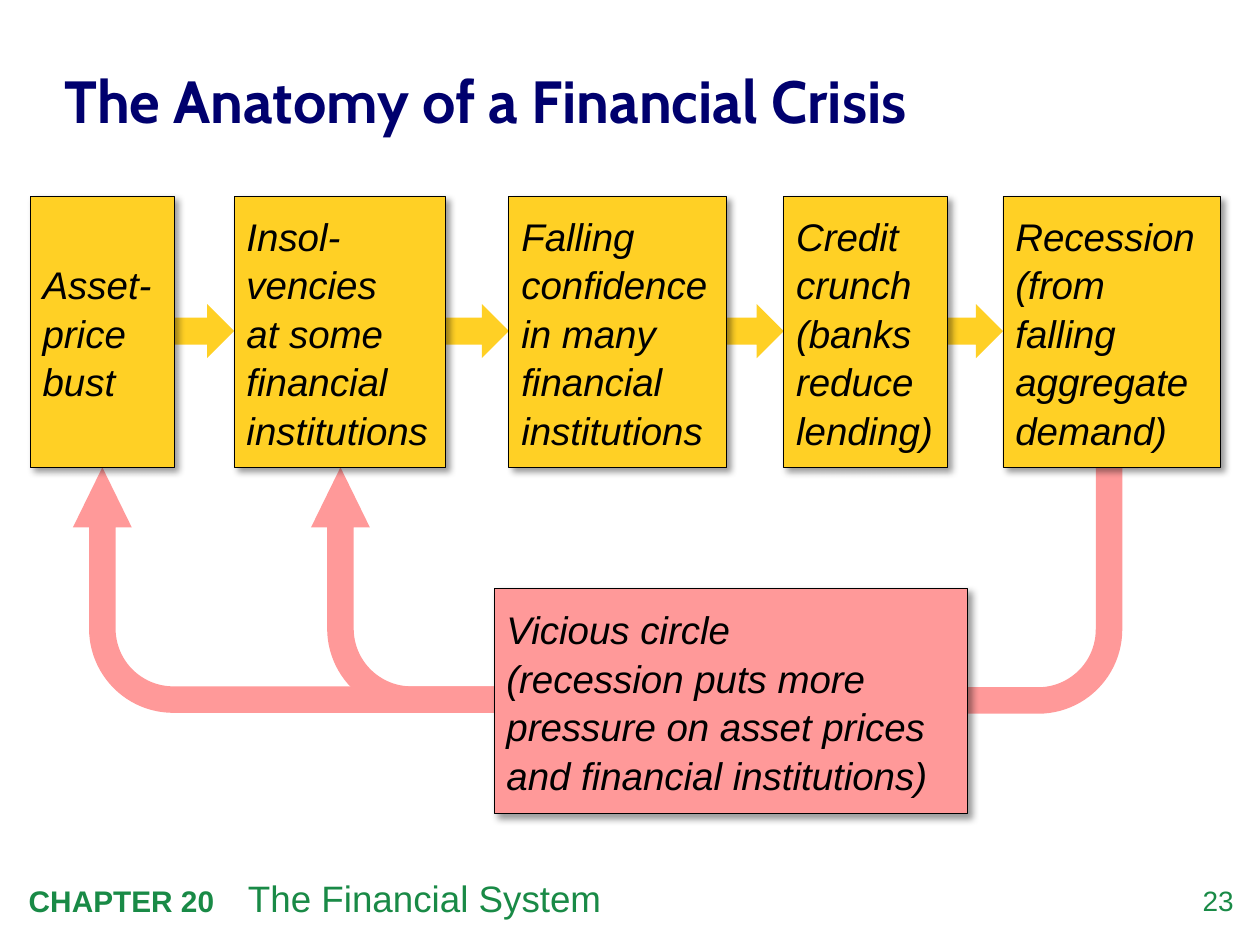
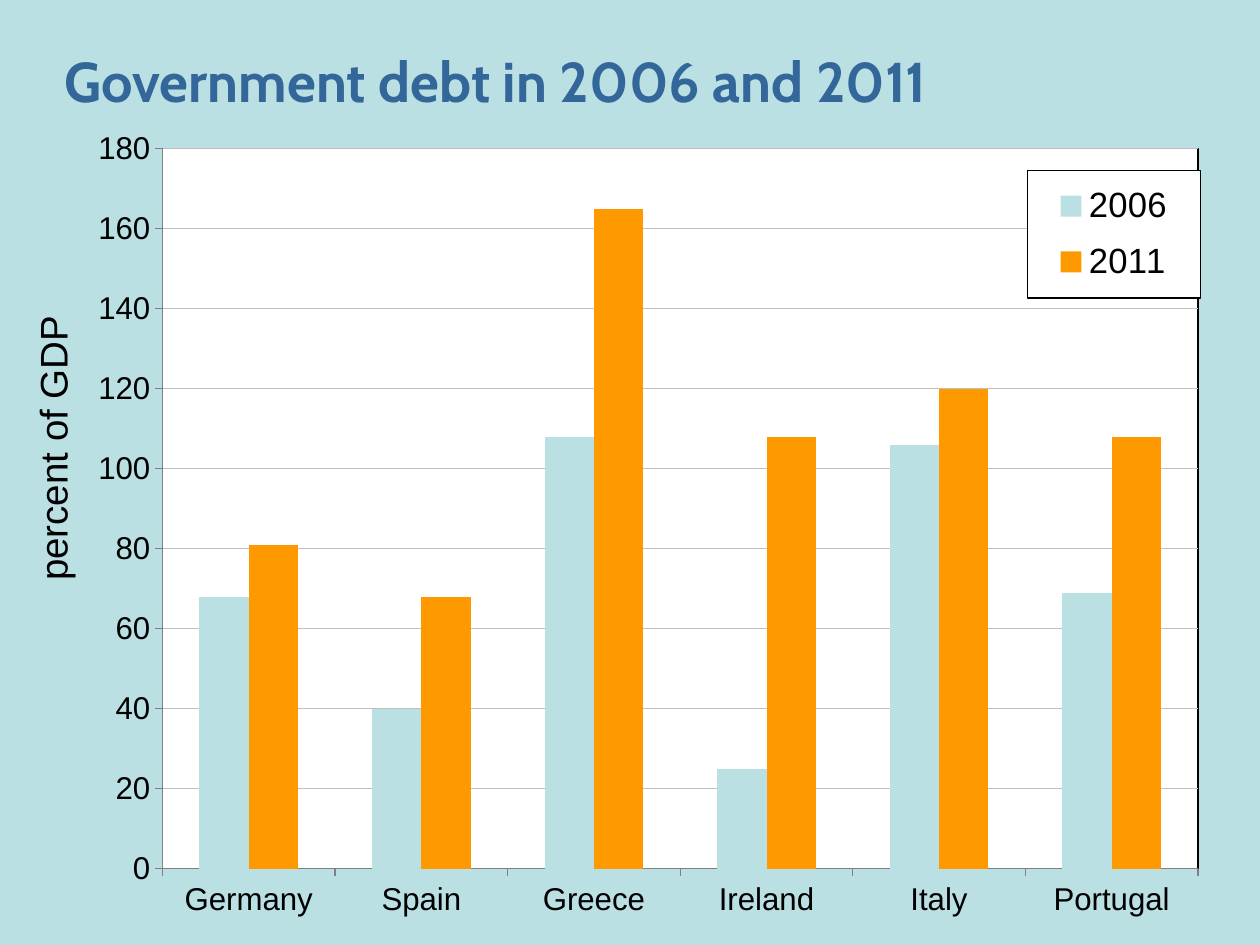
from lxml import etree
from pptx import Presentation
from pptx.chart.data import CategoryChartData
from pptx.dml.color import RGBColor
from pptx.enum import chart as charts, shapes, text
from pptx.oxml import parse_xml
from pptx.oxml.ns import nsdecls, qn
from pptx.util import Cm, Pt

GOLD, PINK, AQUA, ORANGE = "FFD025", "FF9999", "BBE0E3", "FF9900"
GREEN, NAVY, BLUE = "198A46", "00006E", "336699"
BLACK, WHITE, GRID, AXIS = "000000", "FFFFFF", "BFBFBF", "808080"


def rgb(color):
    return RGBColor.from_string(color)


def frame(*lengths):
    return [Cm(length) for length in lengths]


def manual_layout(x, y, width, height, inner=False):
    target = '<c:layoutTarget val="inner"/>' if inner else ""
    return parse_xml(
        f'<c:layout {nsdecls("c")}><c:manualLayout>{target}'
        '<c:xMode val="edge"/><c:yMode val="edge"/>'
        f'<c:x val="{x}"/><c:y val="{y}"/><c:w val="{width}"/><c:h val="{height}"/>'
        '</c:manualLayout></c:layout>')


def white_panel():
    return parse_xml(
        f'<c:spPr {nsdecls("c", "a")}><a:solidFill><a:srgbClr val="{WHITE}"/></a:solidFill>'
        f'<a:ln w="9525"><a:solidFill><a:srgbClr val="{BLACK}"/></a:solidFill></a:ln></c:spPr>')


class Deck:
    """Holds the presentation, its style and the current slide."""
    body_font, title_font = "Arial", "Cabin"
    body_size, line_spacing = 22, 1.05

    def __init__(self):
        self.presentation = Presentation()
        self.presentation.slide_width, self.presentation.slide_height = frame(25.4, 19.05)
        self.slide = None

    def style(self, font, size, color=BLACK, bold=False, italic=False, name=None):
        font.name, font.size = name or self.body_font, Pt(size)
        font.bold, font.italic = bold, italic
        font.color.rgb = rgb(color)

    def add_slide(self, title, background, top, height, size, color):
        self.slide = self.presentation.slides.add_slide(self.presentation.slide_layouts[5])
        self.slide.background.fill.solid()
        self.slide.background.fill.fore_color.rgb = rgb(background)
        shape = self.slide.shapes.title
        shape.left, shape.top, shape.width, shape.height = frame(1.3, top, 22.91, height)
        text_frame = self.no_margins(shape.text_frame)
        text_frame.auto_size = text.MSO_AUTO_SIZE.NONE
        text_frame.vertical_anchor = text.MSO_ANCHOR.MIDDLE
        paragraph = text_frame.paragraphs[0]
        paragraph.text = title
        paragraph.alignment = text.PP_ALIGN.LEFT
        paragraph.line_spacing = self.line_spacing
        self.style(paragraph.font, size, color, bold=True, name=self.title_font)

    def no_margins(self, text_frame):
        text_frame.margin_left = text_frame.margin_right = 0
        text_frame.margin_top = text_frame.margin_bottom = 0
        return text_frame

    def text_box(self, *position):
        text_frame = self.slide.shapes.add_textbox(*frame(*position)).text_frame
        text_frame.word_wrap = True
        return text_frame

    def footer(self, chapter, subject, number):
        paragraph = self.text_box(0.33, 17.53, 21.89, 1.14).paragraphs[0]
        tabs = etree.SubElement(paragraph._p.get_or_add_pPr(), qn("a:tabLst"))
        etree.SubElement(tabs, qn("a:tab"), pos=str(Cm(4.42)), algn="l")
        for words, size, bold in ((chapter + "\t", 17, True), (subject, 21, False)):
            run = paragraph.add_run()
            run.text = words
            self.style(run.font, size, GREEN, bold)
        paragraph = self.no_margins(self.text_box(23.47, 17.81, 1.4, 0.81)).paragraphs[0]
        paragraph.text = number
        paragraph.alignment = text.PP_ALIGN.RIGHT
        self.style(paragraph.font, 16, GREEN)

    def shape(self, kind, position, fill):
        shape = self.slide.shapes.add_shape(kind, *frame(*position))
        shape.shadow.inherit = False
        shape.fill.solid()
        shape.fill.fore_color.rgb = rgb(fill)
        shape.line.fill.background()
        return shape

    def card(self, words, position, fill):
        shape = self.shape(shapes.MSO_SHAPE.RECTANGLE, position, fill)
        shape.line.color.rgb = rgb(BLACK)
        shape.line.width = Pt(0.5)
        effects = shape._element.spPr.find(qn("a:effectLst"))
        effects.append(parse_xml(
            f'<a:outerShdw {nsdecls("a")} blurRad="{Pt(4)}" dist="{Pt(3)}" dir="2700000" '
            f'algn="tl" rotWithShape="0"><a:srgbClr val="{BLACK}"><a:alpha val="40000"/>'
            '</a:srgbClr></a:outerShdw>'))
        text_frame = shape.text_frame
        text_frame.word_wrap = True
        text_frame.vertical_anchor = text.MSO_ANCHOR.MIDDLE
        paragraph = text_frame.paragraphs[0]
        paragraph.text = words
        paragraph.alignment = text.PP_ALIGN.LEFT
        paragraph.line_spacing = self.line_spacing
        self.style(paragraph.font, self.body_size, italic=True)

    def bent_arrow(self, position, head_length, flipped=False):
        shape = self.shape(shapes.MSO_SHAPE.BENT_ARROW, position, PINK)
        for index, value in enumerate((0.108, 0.12, head_length, 0.343)):
            shape.adjustments[index] = value
        shape.rotation = 270
        if flipped:
            shape._element.spPr.find(qn("a:xfrm")).set("flipV", "1")

    def vertical_label(self, words, *position):
        text_frame = self.text_box(*position)
        text_frame.vertical_anchor = text.MSO_ANCHOR.MIDDLE
        text_frame._txBody.find(qn("a:bodyPr")).set("vert", "vert270")
        paragraph = text_frame.paragraphs[0]
        paragraph.text = words
        self.style(paragraph.font, self.body_size)

    def column_chart(self, categories, series, position):
        data = CategoryChartData(number_format="0")
        data.categories = categories
        for name, (values, _) in series.items():
            data.add_series(name, values)
        chart = self.slide.shapes.add_chart(
            charts.XL_CHART_TYPE.COLUMN_CLUSTERED, *frame(*position), data).chart
        chart.has_title = False
        self.style(chart.font, 10)

        # Columns
        plot = chart.plots[0]
        plot.gap_width, plot.overlap, plot.vary_by_categories = 150, 0, False
        for column, (_, color) in zip(plot.series, series.values()):
            column.format.fill.solid()
            column.format.fill.fore_color.rgb = rgb(color)

        # Axes
        for axis in (chart.category_axis, chart.value_axis):
            self.style(axis.tick_labels.font, 18)
            axis.major_tick_mark = charts.XL_TICK_MARK.OUTSIDE
            axis.format.line.color.rgb = rgb(AXIS)
        axis = chart.value_axis
        axis.minimum_scale, axis.maximum_scale, axis.major_unit = 0, 180, 20
        axis.major_gridlines.format.line.color.rgb = rgb(GRID)
        axis.major_gridlines.format.line.width = Pt(0.75)

        # Legend
        chart.has_legend = True
        legend = chart.legend
        legend.position = charts.XL_LEGEND_POSITION.RIGHT
        legend.include_in_layout = False
        self.style(legend.font, 20)
        overlay = legend._element.find(qn("c:overlay"))
        for layout in legend._element.findall(qn("c:layout")):
            legend._element.remove(layout)
        overlay.addprevious(manual_layout(0.813, 0.049, 0.153, 0.16))
        overlay.addnext(white_panel())

        # Plot area
        area = chart._chartSpace.chart.plotArea
        for layout in area.findall(qn("c:layout")):
            area.remove(layout)
        area.insert(0, manual_layout(0.047, 0.022, 0.917, 0.902, inner=True))
        area.append(white_panel())


def crisis_slide(deck):
    deck.add_slide("The Anatomy of a Financial Crisis", WHITE, 0.66, 2.62, 34, NAVY)
    deck.footer("CHAPTER 20", "The Financial System", "23")

    # Feedback arrows
    for left in (3.68, 8.48):
        deck.bent_arrow((left, 7.21, 4.95, 9.37), head_length=0.245)
    deck.bent_arrow((17.15, 8.59, 4.95, 6.65), head_length=0, flipped=True)

    # Stages, each with an arrow that ends at its left side
    stages = [
        ("Asset-price bust", 0.61, 2.9),
        ("Insol-vencies\nat some financial institutions", 4.72, 4.27),
        ("Falling confidence in many financial institutions", 10.26, 4.39),
        ("Credit crunch (banks reduce lending)", 15.8, 3.3),
        ("Recession (from falling aggregate demand)", 20.22, 4.39),
    ]
    arrow_width = 1.68
    for _, left, _ in stages[1:]:
        deck.shape(shapes.MSO_SHAPE.RIGHT_ARROW,
                   (left - arrow_width, 6.13, arrow_width, 1.09), GOLD)
    for words, left, width in stages:
        deck.card(words, (left, 3.96, width, 5.46), GOLD)

    # Vicious circle
    deck.card("Vicious circle\n(recession puts more pressure on asset prices "
              "and financial institutions)", (9.96, 11.86, 9.55, 4.55), PINK)


def debt_slide(deck):
    deck.add_slide("Government debt in 2006 and 2011", AQUA, 0.38, 2.39, 32, BLUE)
    countries = ["Germany", "Spain", "Greece", "Ireland", "Italy", "Portugal"]
    debt = {
        "2006": ((68, 40, 108, 25, 106, 69), AQUA),
        "2011": ((81, 68, 165, 108, 120, 108), ORANGE),
    }
    deck.column_chart(countries, debt, (1.98, 2.64, 22.99, 16.1))
    deck.vertical_label("percent of GDP", 0.33, 6.07, 1.45, 5.89)


def main():
    deck = Deck()
    crisis_slide(deck)
    debt_slide(deck)
    deck.presentation.save("out.pptx")


if __name__ == "__main__":
    main()
